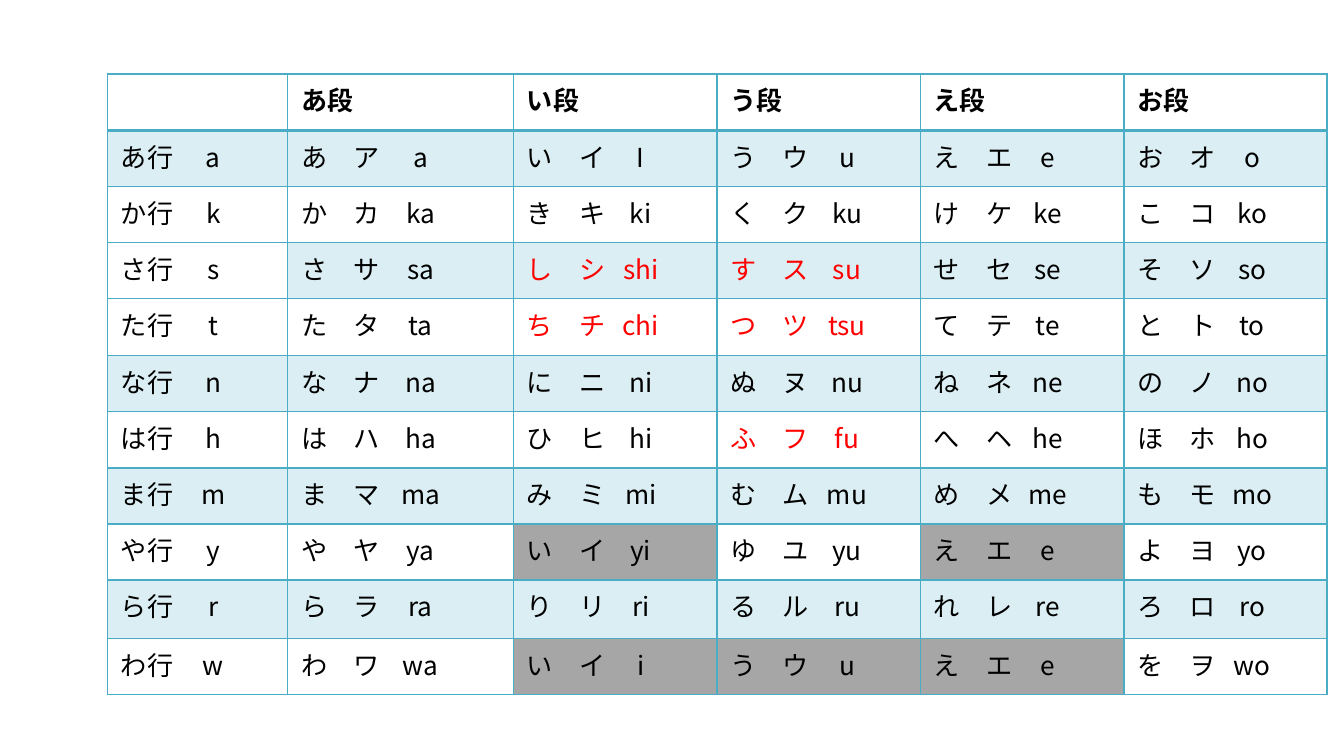
from lxml import etree
from pptx import Presentation
from pptx.dml.color import RGBColor
from pptx.enum.text import MSO_ANCHOR
from pptx.oxml.ns import qn
from pptx.util import Pt

TOP = MSO_ANCHOR.TOP
BLACK = RGBColor(0x00, 0x00, 0x00)
RED = RGBColor(0xFF, 0x00, 0x00)
TEAL = RGBColor(0x4B, 0xAC, 0xC6)
GRAY = RGBColor(0xA6, 0xA6, 0xA6)
FONT = "Noto Sans CJK SC"
TEXT_SIZE = 14

VOWELS = "あいうえお"
# Consonant row, its letter, hiragana, katakana, romaji
KANA_ROWS = [
    ("あ", "a", "あいうえお", "アイウエオ", "a I u e o"),
    ("か", "k", "かきくけこ", "カキクケコ", "ka ki ku ke ko"),
    ("さ", "s", "さしすせそ", "サシスセソ", "sa shi su se so"),
    ("た", "t", "たちつてと", "タチツテト", "ta chi tsu te to"),
    ("な", "n", "なにぬねの", "ナニヌネノ", "na ni nu ne no"),
    ("は", "h", "はひふへほ", "ハヒフヘホ", "ha hi fu he ho"),
    ("ま", "m", "まみむめも", "マミムメモ", "ma mi mu me mo"),
    ("や", "y", "やいゆえよ", "ヤイユエヨ", "ya yi yu e yo"),
    ("ら", "r", "らりるれろ", "ラリルレロ", "ra ri ru re ro"),
    ("わ", "w", "わいうえを", "ワイウエヲ", "wa i u e wo"),
]
IRREGULAR = {"shi", "su", "chi", "tsu", "fu"}
BORROWED = {"や": "いえ", "わ": "いうえ"}

COLUMN_WIDTHS = [96.5, 121, 109, 109, 109, 109]
ROMAJI_CENTRES = [49.5, 64, 61, 62.5, 61, 61.5]
ROW_HEIGHT = 30.1
TALL_ROWS = {"た": 30.5, "ら": 31.2}
CELL_FORMAT = {
    "margin_left": Pt(7.2),
    "margin_right": Pt(7.2),
    "margin_top": Pt(3.4),
    "margin_bottom": Pt(3.4),
    "vertical_anchor": TOP,
}


def set_borders(cell, bottom=1):
    for side, width in {"L": 1, "R": 1, "T": 1, "B": bottom}.items():
        line = etree.SubElement(cell._tc.get_or_add_tcPr(), qn(f"a:ln{side}"), w=str(Pt(width)))
        solid = etree.SubElement(line, qn("a:solidFill"))
        etree.SubElement(solid, qn("a:srgbClr"), val=str(TEAL))


def set_fill(cell, color):
    if color is None:
        cell.fill.background()
        return
    cell.fill.solid()
    cell.fill.fore_color.rgb = color
    if color == TEAL:
        tint = cell._tc.tcPr.find(qn("a:solidFill")).find(qn("a:srgbClr"))
        etree.SubElement(tint, qn("a:alpha"), val="20000")


def add_centre_tab(paragraph, position):
    tabs = etree.SubElement(paragraph._p.get_or_add_pPr(), qn("a:tabLst"))
    etree.SubElement(tabs, qn("a:tab"), pos=str(Pt(position)), algn="ctr")


def write_cell(cell, text, color=BLACK, bold=False, tab=None):
    paragraph = cell.text_frame.paragraphs[0]
    if tab:
        add_centre_tab(paragraph, tab)
    run = paragraph.add_run()
    run.text = text
    font_format = {"name": FONT, "size": Pt(TEXT_SIZE), "bold": bold}
    for key, value in font_format.items():
        setattr(run.font, key, value)
    run.font.color.rgb = color
    etree.SubElement(run.font._element, qn("a:ea"), typeface=FONT)


def format_cell(cell, fill=None, bottom=1):
    for key, value in CELL_FORMAT.items():
        setattr(cell, key, value)
    set_borders(cell, bottom)
    set_fill(cell, fill)


def add_kana_table(slide):
    heights = [ROW_HEIGHT] + [TALL_ROWS.get(row[0], ROW_HEIGHT) for row in KANA_ROWS]
    table = slide.shapes.add_table(
        len(heights), len(COLUMN_WIDTHS), Pt(57.6), Pt(39.7),
        Pt(sum(COLUMN_WIDTHS)), Pt(sum(heights))).table
    table.first_row = False
    table.horz_banding = False
    for column, width in zip(table.columns, COLUMN_WIDTHS):
        column.width = Pt(width)
    for row, height in zip(table.rows, heights):
        row.height = Pt(height)
    return table


def fill_header(table):
    for cell in table.rows[0].cells:
        format_cell(cell, bottom=2)
    corner = table.cell(0, 0).text_frame.paragraphs[0]
    etree.SubElement(corner._p, qn("a:endParaRPr"), sz=str(TEXT_SIZE * 100))
    for column, vowel in enumerate(VOWELS, start=1):
        write_cell(table.cell(0, column), f"{vowel}段", bold=True)


def fill_kana_row(table, index, kana_row):
    name, letter, hiragana, katakana, romaji = kana_row
    band = TEAL if index % 2 else None

    # Row heading
    heading = table.cell(index, 0)
    format_cell(heading, None if name == "さ" else band)
    write_cell(heading, f"{name}行\t{letter}", tab=ROMAJI_CENTRES[0])

    # One syllable per vowel column
    syllables = zip(hiragana, katakana, romaji.split())
    for column, (hira, kata, sound) in enumerate(syllables, start=1):
        cell = table.cell(index, column)
        format_cell(cell, GRAY if hira in BORROWED.get(name, "") else band)
        write_cell(cell, f"{hira}　{kata}\t{sound}",
                   color=RED if sound in IRREGULAR else BLACK,
                   tab=ROMAJI_CENTRES[column])


def main():
    presentation = Presentation()
    presentation.slide_width = Pt(720)
    presentation.slide_height = Pt(405)
    slide = presentation.slides.add_slide(presentation.slide_layouts[6])

    table = add_kana_table(slide)
    fill_header(table)
    for index, kana_row in enumerate(KANA_ROWS, start=1):
        fill_kana_row(table, index, kana_row)

    presentation.save("out.pptx")


if __name__ == "__main__":
    main()
